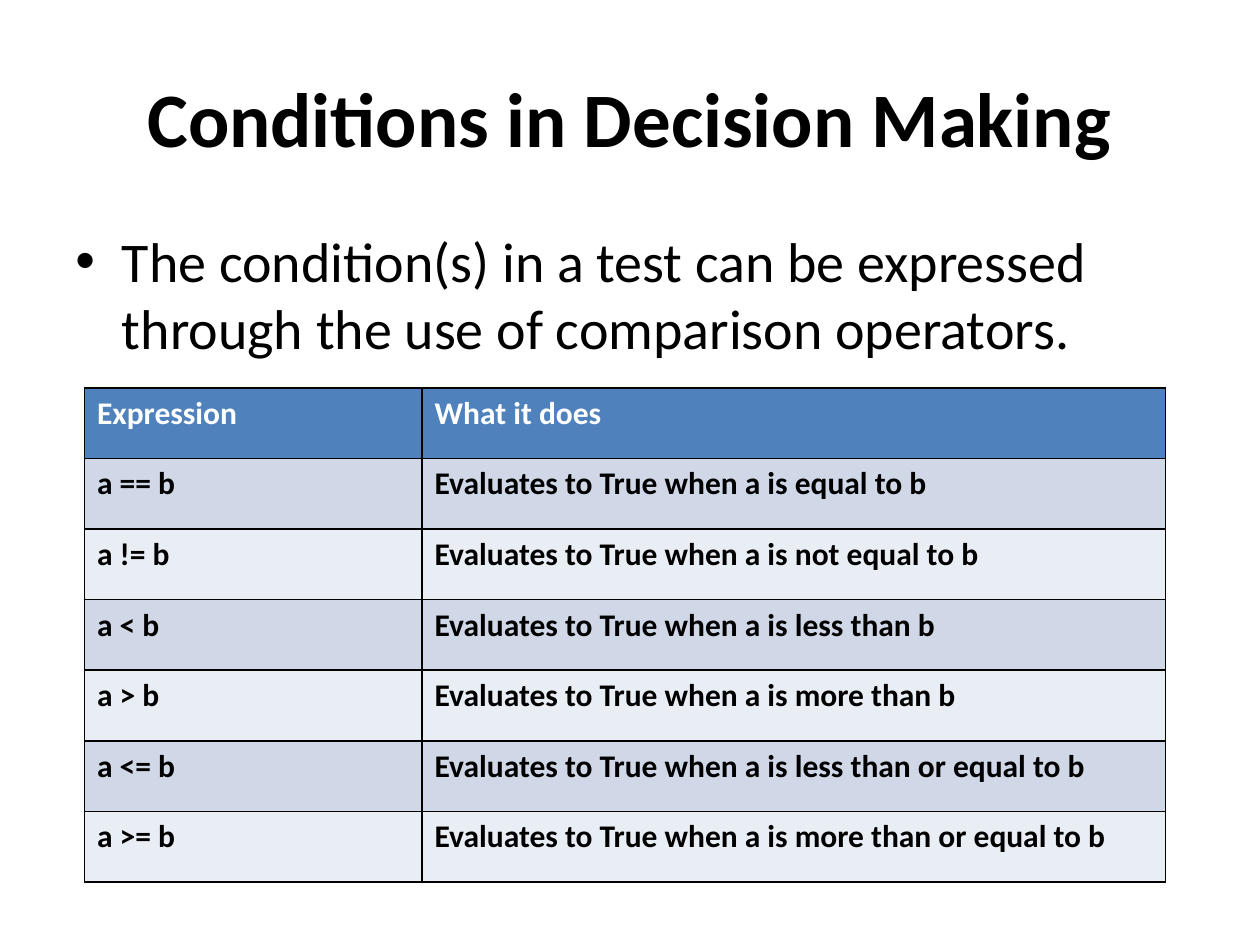
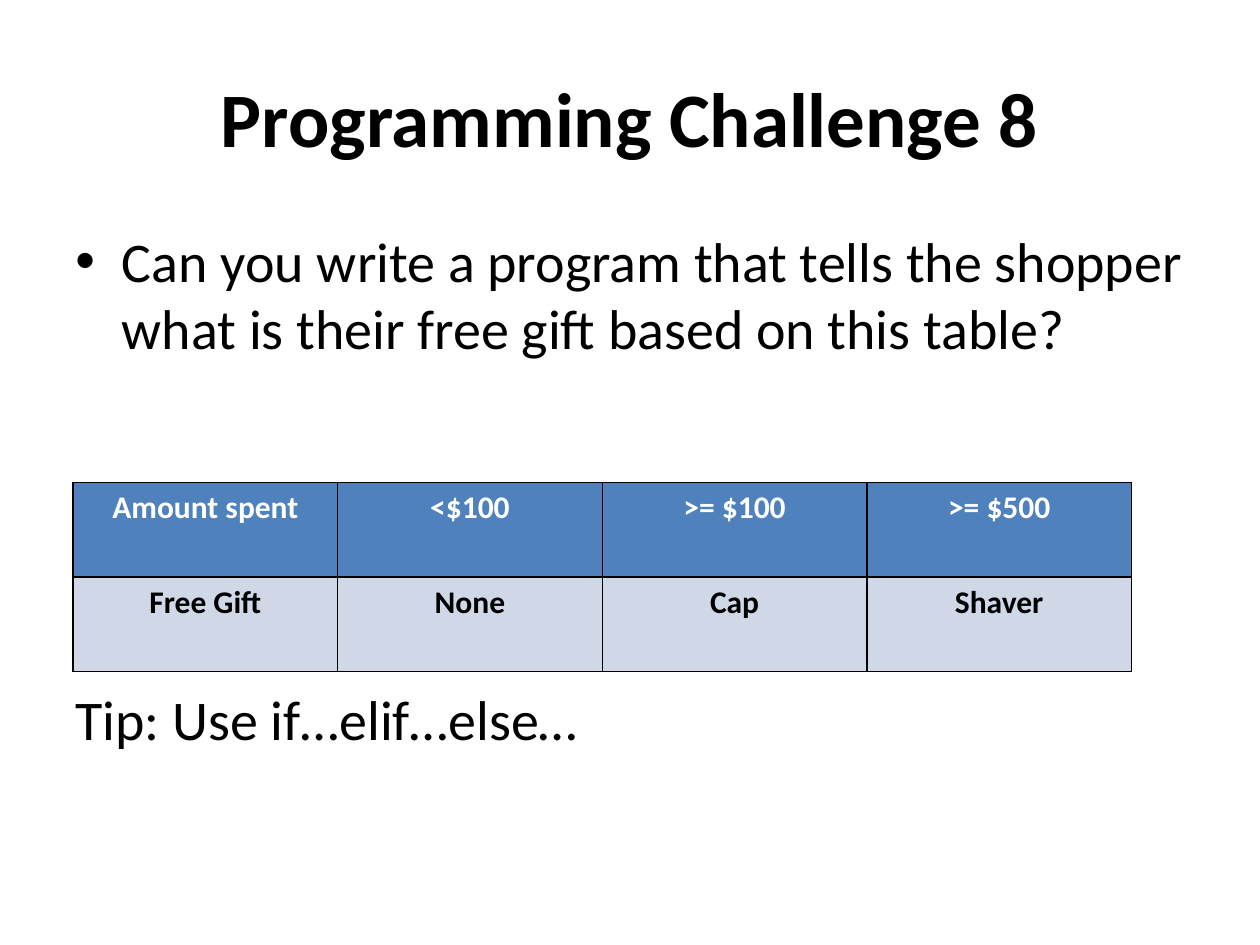
from lxml import etree
from pptx import Presentation
from pptx.dml.color import RGBColor
from pptx.enum.text import MSO_ANCHOR, PP_ALIGN
from pptx.oxml.ns import qn
from pptx.util import Inches, Pt

LEFT, CENTER = PP_ALIGN.LEFT, PP_ALIGN.CENTER
TOP, MIDDLE = MSO_ANCHOR.TOP, MSO_ANCHOR.MIDDLE

BLACK, WHITE = "000000", "FFFFFF"
HEADER_FILL = "4F81BD"
BAND_FILLS = ("D0D8E8", "E9EDF4")

TITLE_BOX = (0.5, 0.3, 9, 1.25)
BODY_BOX = (0.5, 1.75, 9, 4.95)
BULLET_INDENT = 0.37
TIP_GAP = 2.57

TITLE_FONT = {"name": "Calibri", "size": Pt(44), "bold": True}
BODY_FONT = {"name": "Calibri", "size": Pt(32), "bold": False}
CELL_FONT = {"name": "Calibri", "size": Pt(18), "bold": True}

OPERATORS = [
    ("Expression", "What it does"),
    ("a == b", "Evaluates to True when a is equal to b"),
    ("a != b", "Evaluates to True when a is not equal to b"),
    ("a < b", "Evaluates to True when a is less than b"),
    ("a > b", "Evaluates to True when a is more than b"),
    ("a <= b", "Evaluates to True when a is less than or equal to b"),
    ("a >= b", "Evaluates to True when a is more than or equal to b"),
]
GIFTS = [
    ("Amount spent", "<$100", ">= $100", ">= $500"),
    ("Free Gift", "None", "Cap", "Shaver"),
]


def rgb(value):
    return RGBColor.from_string(value)


def write(paragraph, text, font, color=BLACK, align=LEFT):
    paragraph.alignment = align
    run = paragraph.add_run()
    run.text = text
    for key, value in font.items():
        setattr(run.font, key, value)
    run.font.color.rgb = rgb(color)


def add_frame(slide, box, anchor):
    frame = slide.shapes.add_textbox(*map(Inches, box)).text_frame
    frame.word_wrap = True
    frame.vertical_anchor = anchor
    return frame


def add_bullet(paragraph):
    properties = paragraph._p.get_or_add_pPr()
    properties.set("marL", str(Inches(BULLET_INDENT)))
    properties.set("indent", str(-Inches(BULLET_INDENT)))
    etree.SubElement(properties, qn("a:buFont"), typeface="Arial")
    etree.SubElement(properties, qn("a:buChar"), char="•")


def add_title(slide, title, box=TITLE_BOX):
    frame = add_frame(slide, box, MIDDLE)
    write(frame.paragraphs[0], title, TITLE_FONT, align=CENTER)


def add_body(slide, point, tip=None, box=BODY_BOX):
    frame = add_frame(slide, box, TOP)
    write(frame.paragraphs[0], point, BODY_FONT)
    add_bullet(frame.paragraphs[0])
    if tip:
        closing = frame.add_paragraph()
        closing.space_before = Inches(TIP_GAP)
        write(closing, tip, BODY_FONT)


def add_borders(cell):
    properties = cell._tc.get_or_add_tcPr()
    for side in ("lnL", "lnR", "lnT", "lnB"):
        line = etree.SubElement(properties, qn(f"a:{side}"), w=str(Pt(1)))
        fill = etree.SubElement(line, qn("a:solidFill"))
        etree.SubElement(fill, qn("a:srgbClr"), val=BLACK)


def add_grid(slide, rows, left, top, widths, row_height, align=LEFT):
    box = (left, top, sum(widths), row_height * len(rows))
    table = slide.shapes.add_table(len(rows), len(widths), *map(Inches, box)).table
    for column, width in zip(table.columns, widths):
        column.width = Inches(width)
    for r, texts in enumerate(rows):
        table.rows[r].height = Inches(row_height)
        fill = BAND_FILLS[(r - 1) % 2] if r else HEADER_FILL
        for c, text in enumerate(texts):
            cell = table.cell(r, c)
            add_borders(cell)
            cell.fill.solid()
            cell.fill.fore_color.rgb = rgb(fill)
            color = BLACK if r else WHITE
            write(cell.text_frame.paragraphs[0], text, CELL_FONT, color, align)


def add_slide(deck, title, point, tip=None):
    slide = deck.slides.add_slide(deck.slide_layouts[6])
    add_title(slide, title)
    add_body(slide, point, tip)
    return slide


def main():
    deck = Presentation()
    deck.slide_width, deck.slide_height = Inches(10), Inches(7.5)

    conditions = add_slide(
        deck,
        "Conditions in Decision Making",
        "The condition(s) in a test can be expressed through the use of "
        "comparison operators.",
    )
    add_grid(conditions, OPERATORS, 0.67, 3.08, (2.68, 5.9), 0.56)

    challenge = add_slide(
        deck,
        "Programming Challenge 8",
        "Can you write a program that tells the shopper what is their free "
        "gift based on this table?",
        "Tip: Use if…elif…else…",
    )
    add_grid(challenge, GIFTS, 0.58, 3.83, (2.1,) * 4, 0.75, CENTER)

    deck.save("out.pptx")


if __name__ == "__main__":
    main()
